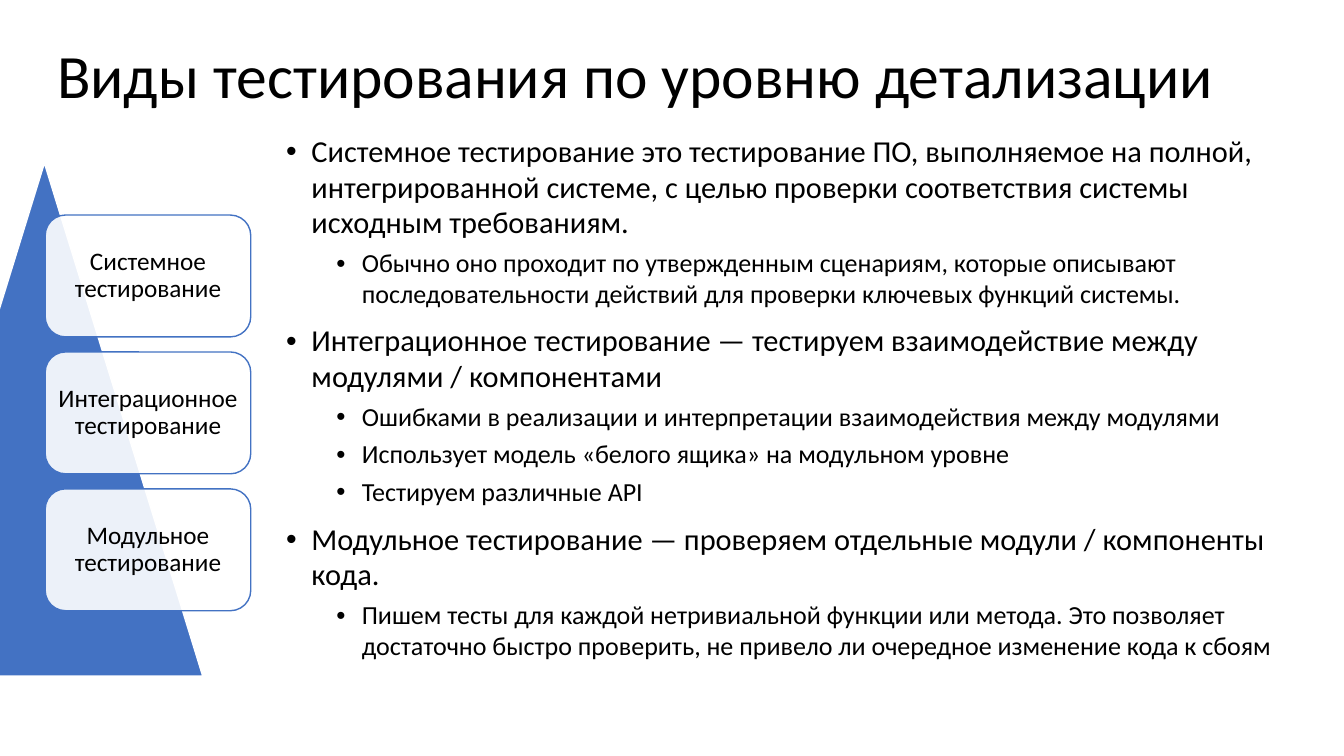
import pptx
import pptx.util
import pptx.dml.color
import pptx.enum.shapes
import pptx.enum.text
import pptx.oxml.ns
from lxml import etree

Cm, Pt = pptx.util.Cm, pptx.util.Pt
MIDDLE = pptx.enum.text.MSO_ANCHOR.MIDDLE
COLORS = {"text": "000000", "paper": "FFFFFF", "accent": "4372C3"}


def rgb(name):
    return pptx.dml.color.RGBColor.from_string(COLORS[name])


def style(paragraph, size, align, spacing):
    for name, value in {"alignment": align, "line_spacing": spacing}.items():
        setattr(paragraph, name, value)
    for name, value in {"name": "Calibri", "size": Pt(size), "bold": False}.items():
        setattr(paragraph.font, name, value)
    paragraph.font.color.rgb = rgb("text")


LEFT = pptx.enum.text.PP_ALIGN.LEFT
CENTER = pptx.enum.text.PP_ALIGN.CENTER

deck = pptx.Presentation()
deck.slide_width, deck.slide_height = Cm(33.87), Cm(19.05)
slide = deck.slides.add_slide(deck.slide_layouts[5])

# Title
heading = slide.shapes.title
for name, value in {"left": 1.19, "top": 0.86, "width": 30.3, "height": 2.24}.items():
    setattr(heading, name, Cm(value))
heading.text_frame.text = "Виды тестирования по уровню детализации"
heading.text_frame.vertical_anchor = MIDDLE
heading.text_frame.auto_size = pptx.enum.text.MSO_AUTO_SIZE.NONE
style(heading.text_frame.paragraphs[0], 44, LEFT, 0.9)

# Descriptions of the levels: (outline level, text)
descriptions = [
    (0, "Системное тестирование это тестирование ПО, выполняемое на полной, "
        "интегрированной системе, с целью проверки соответствия системы исходным требованиям."),
    (1, "Обычно оно проходит по утвержденным сценариям, которые описывают "
        "последовательности действий для проверки ключевых функций системы."),
    (0, "Интеграционное тестирование — тестируем взаимодействие между модулями / компонентами"),
    (1, "Ошибками в реализации и интерпретации взаимодействия между модулями"),
    (1, "Использует модель «белого ящика» на модульном уровне"),
    (1, "Тестируем различные API"),
    (0, "Модульное тестирование — проверяем отдельные модули / компоненты кода."),
    (1, "Пишем тесты для каждой нетривиальной функции или метода. Это позволяет "
        "достаточно быстро проверить, не привело ли очередное изменение кода к сбоям"),
]
outline = slide.shapes.add_textbox(Cm(6.96), Cm(3.25), Cm(25.93), Cm(15.42))
outline.fill.solid()
outline.fill.fore_color.rgb = rgb("paper")
outline.text_frame.word_wrap = True
for index, (level, text) in enumerate(descriptions):
    item = outline.text_frame.paragraphs[0] if index == 0 else outline.text_frame.add_paragraph()
    item.text = text
    item.level = level
    style(item, (21.7, 18.6)[level], LEFT, 0.98)
    item.space_before = Pt((10, 5)[level] if index else 0)
    properties = item._p.get_or_add_pPr()
    properties.set("marL", str(Cm((0.64, 1.91)[level])))
    properties.set("indent", str(-Cm(0.64)))
    for tag, attribute, value in [("a:buFont", "typeface", "Arial"), ("a:buChar", "char", "•")]:
        etree.SubElement(properties, pptx.oxml.ns.qn(tag)).set(attribute, value)

# Pyramid behind the cards
pyramid = slide.shapes.add_shape(
    pptx.enum.shapes.MSO_SHAPE.ISOSCELES_TRIANGLE, Cm(-2.87), Cm(4.11), Cm(7.98), Cm(12.93))
pyramid.shadow.inherit = False
pyramid.fill.solid()
pyramid.fill.fore_color.rgb = rgb("accent")
pyramid.line.color.rgb = rgb("paper")
pyramid.line.width = Pt(1)

# Cards of the testing levels
for row, level_name in enumerate(["Системное", "Интеграционное", "Модульное"]):
    card = slide.shapes.add_shape(
        pptx.enum.shapes.MSO_SHAPE.ROUNDED_RECTANGLE,
        Cm(1.14), Cm(5.42 + row * 3.45), Cm(5.18), Cm(3.07))
    card.shadow.inherit = False
    card.fill.solid()
    card.fill.fore_color.rgb = rgb("paper")
    tint = card.fill._xPr.find(".//" + pptx.oxml.ns.qn("a:srgbClr"))
    etree.SubElement(tint, pptx.oxml.ns.qn("a:alpha")).set("val", "90000")
    card.line.color.rgb = rgb("accent")
    card.line.width = Pt(1)
    label = card.text_frame
    label.text = f"{level_name} тестирование"
    for name, value in {"word_wrap": True, "vertical_anchor": MIDDLE,
                        "margin_left": Cm(0.12), "margin_right": Cm(0.12),
                        "margin_top": Cm(0.18), "margin_bottom": Cm(0.18)}.items():
        setattr(label, name, value)
    style(label.paragraphs[0], 18, CENTER, 0.9)

deck.save("out.pptx")
